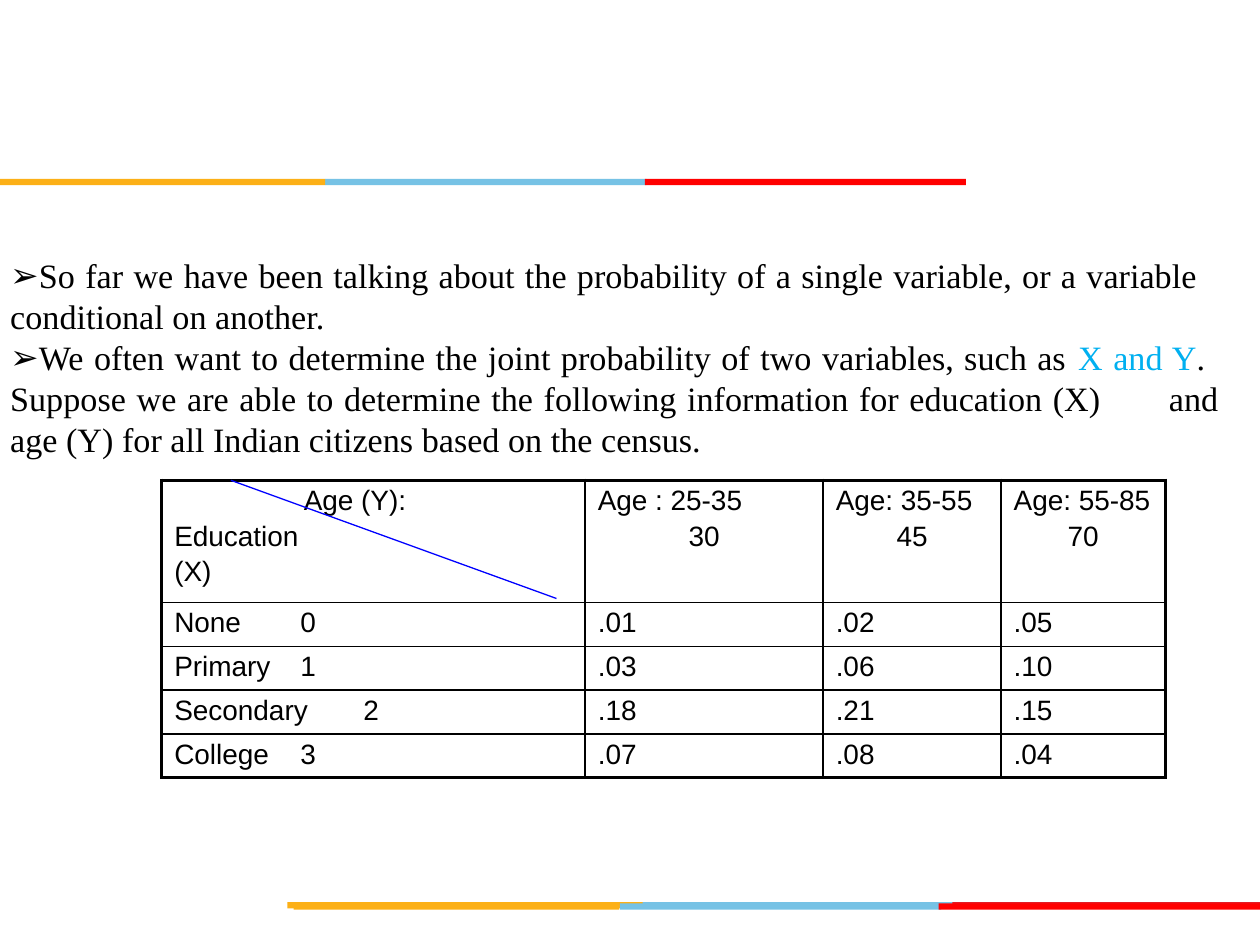
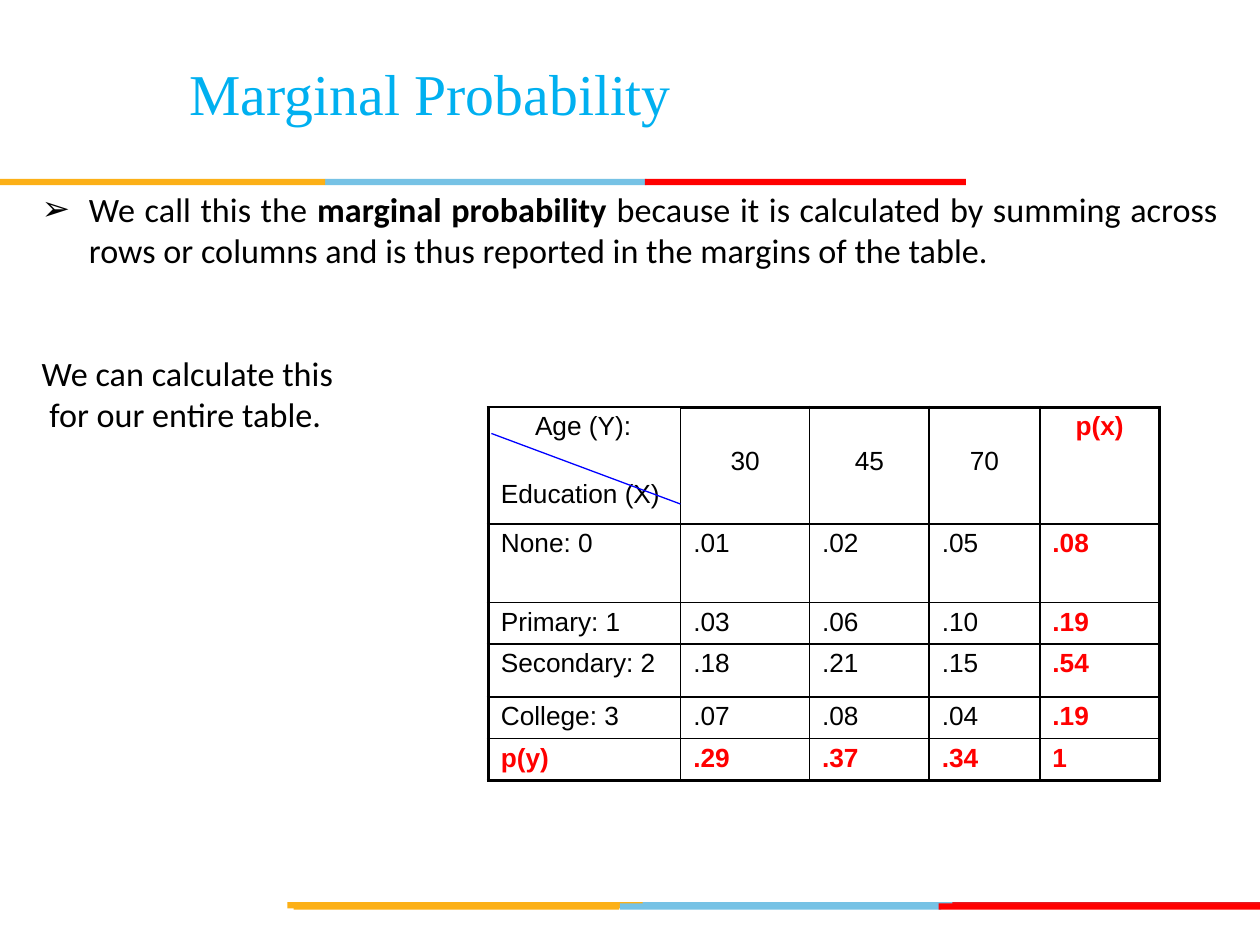
from dataclasses import dataclass

from lxml import etree
from pptx import Presentation
from pptx.dml.color import RGBColor
from pptx.enum.shapes import MSO_CONNECTOR, MSO_SHAPE
from pptx.enum.text import PP_ALIGN
from pptx.oxml.ns import qn
from pptx.slide import Slide
from pptx.table import Table, _Cell
from pptx.text.text import TextFrame
from pptx.util import Pt

RECT = MSO_SHAPE.RECTANGLE
LINE = MSO_CONNECTOR.STRAIGHT
LEFT, CENTER, JUST = PP_ALIGN.LEFT, PP_ALIGN.CENTER, PP_ALIGN.JUSTIFY

COLORS = {
    "black": "000000",
    "gold": "FCB017",
    "sky": "76C2E5",
    "red": "FF0000",
    "brick": "E31C24",
    "cyan": "00B0F0",
    "blue": "0000FF",
}
SERIF, SANS, BODY = "Times New Roman", "Arial", "Calibri"
THICK, THIN = 2.25, 1
BAND_TALL = 3.6


@dataclass(frozen=True)
class Band:
    left: float
    top: float
    width: float
    color: str


@dataclass(frozen=True)
class Run:
    text: str
    color: str = ""
    bold: bool = False


@dataclass(frozen=True)
class Grid:
    left: float
    top: float
    cols: list[float]
    rows: list[float]
    size: float


BANDS = [
    Band(364.3, 515.5, 183.6, "sky"),
    Band(544.3, 515.5, 175.7, "brick"),
    Band(164.2, 515.5, 203, "gold"),
    Band(354.2, 516.2, 183.6, "sky"),
    Band(167.8, 516.2, 186, "gold"),
    Band(536.4, 516.2, 183.6, "red"),
    Band(185.8, 102.2, 183.6, "sky"),
    Band(0, 102.2, 185.8, "gold"),
    Band(368.6, 102.2, 183.4, "red"),
]
JOINT = Grid(92.4, 274.5, [242, 136, 101.7, 93.8], [69.8] + [24.6] * 4, 16)
MARGIN = Grid(279, 232.7, [110, 73.6, 68.4, 63.2, 68.4],
              [66.8, 44.8, 23.5, 30.2, 23.5, 23.5], 15)
LEVELS = ["None", "Primary", "Secondary", "College"]
ODDS = [[".01", ".02", ".05"], [".03", ".06", ".10"],
        [".18", ".21", ".15"], [".07", ".08", ".04"]]
SUMS_X = [".08", ".19", ".54", ".19"]
SUMS_Y = [".29", ".37", ".34", "1"]
AGES = ["30", "45", "70"]
SPANS = ["Age : 25-35", "Age: 35-55", "Age: 55-85"]


def paint(name: str) -> RGBColor:
    return RGBColor.from_string(COLORS[name])


def write(frame: TextFrame, text: str | list[Run], *, font: str = SANS,
          size: float = 16, color: str = "black", bold: bool = False,
          align: PP_ALIGN = LEFT, before: float = 0, left: float = 0,
          hang: float = 0, bullet: str = "", tab: float = 0) -> None:
    para = frame.paragraphs[0]
    if para.runs:
        para = frame.add_paragraph()
    para.alignment = align
    para.space_before = Pt(before)
    props = para._p.get_or_add_pPr()
    props.set("marL", str(Pt(left)))
    props.set("indent", str(Pt(-hang)))
    if bullet:
        etree.SubElement(props, qn("a:buFont"), typeface=SANS)
        etree.SubElement(props, qn("a:buChar"), char=bullet)
    else:
        etree.SubElement(props, qn("a:buNone"))
    if tab:
        stops = etree.SubElement(props, qn("a:tabLst"))
        etree.SubElement(stops, qn("a:tab"), pos=str(Pt(tab)), algn="l")
    for part in [Run(text)] if isinstance(text, str) else text:
        run = para.add_run()
        run.text = part.text
        run.font.name = font
        run.font.size = Pt(size)
        run.font.bold = bold or part.bold
        run.font.color.rgb = paint(part.color or color)


def add_box(slide: Slide, left: float, top: float, width: float,
            height: float) -> TextFrame:
    box = slide.shapes.add_textbox(Pt(left), Pt(top), Pt(width), Pt(height))
    frame = box.text_frame
    frame.word_wrap = True
    frame.margin_left = frame.margin_right = Pt(5.8)
    frame.margin_top = frame.margin_bottom = Pt(3)
    return frame


def add_bands(slide: Slide) -> None:
    for band in BANDS:
        shape = slide.shapes.add_shape(RECT, Pt(band.left), Pt(band.top),
                                       Pt(band.width), Pt(BAND_TALL))
        shape.shadow.inherit = False
        shape.fill.solid()
        shape.fill.fore_color.rgb = paint(band.color)
        shape.line.fill.background()


def add_slash(slide: Slide, x1: float, y1: float, x2: float,
              y2: float) -> None:
    slash = slide.shapes.add_connector(LINE, Pt(x1), Pt(y1), Pt(x2), Pt(y2))
    slash.line.color.rgb = paint("blue")
    slash.line.width = Pt(0.75)
    etree.SubElement(slash._element.spPr, qn("a:effectLst"))


def edge(cell: _Cell, sides: dict[str, float]) -> None:
    props = cell._tc.get_or_add_tcPr()
    for side, width in sides.items():
        line = etree.SubElement(props, qn(f"a:ln{side}"), w=str(Pt(width)))
        fill = etree.SubElement(line, qn("a:solidFill"))
        etree.SubElement(fill, qn("a:srgbClr"), val=COLORS["black"])


def add_grid(slide: Slide, grid: Grid) -> Table:
    deep, wide = len(grid.rows), len(grid.cols)
    table = slide.shapes.add_table(
        deep, wide, Pt(grid.left), Pt(grid.top),
        Pt(sum(grid.cols)), Pt(sum(grid.rows))).table
    table.first_row = table.horz_banding = False
    for col, width in zip(table.columns, grid.cols):
        col.width = Pt(width)
    for row, height in zip(table.rows, grid.rows):
        row.height = Pt(height)
    for r in range(deep):
        for c in range(wide):
            cell = table.cell(r, c)
            outer = {"L": c == 0, "R": c == wide - 1,
                     "T": r == 0, "B": r == deep - 1}
            edge(cell, {k: THICK if on else THIN for k, on in outer.items()})
            cell.fill.background()
            cell.margin_left = cell.margin_right = Pt(7.2)
            cell.margin_top = cell.margin_bottom = Pt(2.9)
    return table


def build_joint(slide: Slide) -> None:
    frame = add_box(slide, 0, 142.6, 702, 123.8)
    look = {"font": SERIF, "size": 19.5, "align": JUST, "bullet": "➢"}
    write(frame, "So far we have been talking about the probability of a single "
          "variable, or a variable \tconditional on another.", **look)
    write(frame, [
        Run("We often want to determine the joint probability of two "
            "variables, such as "),
        Run("X and Y", "cyan"),
        Run(".\tSuppose we are able to determine the following information "
            "for education (X) \tand age (Y) for all Indian citizens based "
            "on the census."),
    ], **look)
    table = add_grid(slide, JOINT)
    head = table.cell(0, 0).text_frame
    write(head, "Age (Y):", left=74)
    write(head, "Education", before=2.5)
    write(head, "(X)", before=2.5)
    for c, (span, age) in enumerate(zip(SPANS, AGES), 1):
        frame = table.cell(0, c).text_frame
        write(frame, span)
        write(frame, age, align=CENTER, before=2.5)
    for r, (level, odds) in enumerate(zip(LEVELS, ODDS), 1):
        write(table.cell(r, 0).text_frame, f"{level}\t{r - 1}", tab=114)
        for c, value in enumerate(odds, 1):
            write(table.cell(r, c).text_frame, value)
    add_slash(slide, 318, 342, 132, 274.5)


def build_margin(slide: Slide) -> None:
    title = add_box(slide, 36, 30, 420, 60)
    write(title, "Marginal Probability", font=SERIF, size=33, color="cyan",
          align=CENTER)
    frame = add_box(slide, 18, 104.4, 684, 147.6)
    look = {"font": BODY, "size": 19.5, "align": JUST}
    write(frame, [
        Run("We call this the "),
        Run("marginal probability", bold=True),
        Run(" because it is calculated by summing across rows or columns "
            "and is thus reported in the margins of the table."),
    ], left=27, hang=27, bullet="➢", **look)
    write(frame, "We can calculate this", before=47, **look)
    write(frame, "for our entire table.", left=4.4, **look)
    table = add_grid(slide, MARGIN)
    size = MARGIN.size
    head = table.cell(0, 0)
    head._tc.tcPr.find(qn("a:lnT")).set("w", str(Pt(THIN)))
    write(head.text_frame, "Age (Y):", size=size, left=19.5)
    write(head.text_frame, "Education (X)", size=size, before=22.1)
    for c, age in enumerate(AGES, 1):
        cell = table.cell(0, c)
        cell.margin_top = Pt(22.6)
        write(cell.text_frame, age, size=size, align=CENTER)
    total = {"size": size, "color": "red", "bold": True}
    write(table.cell(0, 4).text_frame, "p(x)", align=CENTER, **total)
    body = [[f"{level}: {i}", *odds, mass] for i, (level, odds, mass)
            in enumerate(zip(LEVELS, ODDS, SUMS_X))]
    body.append(["p(y)", *SUMS_Y])
    for r, row in enumerate(body, 1):
        for c, value in enumerate(row):
            look = total if r == len(body) or c == 4 else {"size": size}
            write(table.cell(r, c).text_frame, value, **look)
    add_slash(slide, 388.8, 288, 280.8, 247.7)


def main() -> None:
    deck = Presentation()
    deck.slide_width, deck.slide_height = Pt(720), Pt(540)
    for build in (build_joint, build_margin):
        slide = deck.slides.add_slide(deck.slide_layouts[6])
        add_bands(slide)
        build(slide)
    deck.save("out.pptx")


if __name__ == "__main__":
    main()
